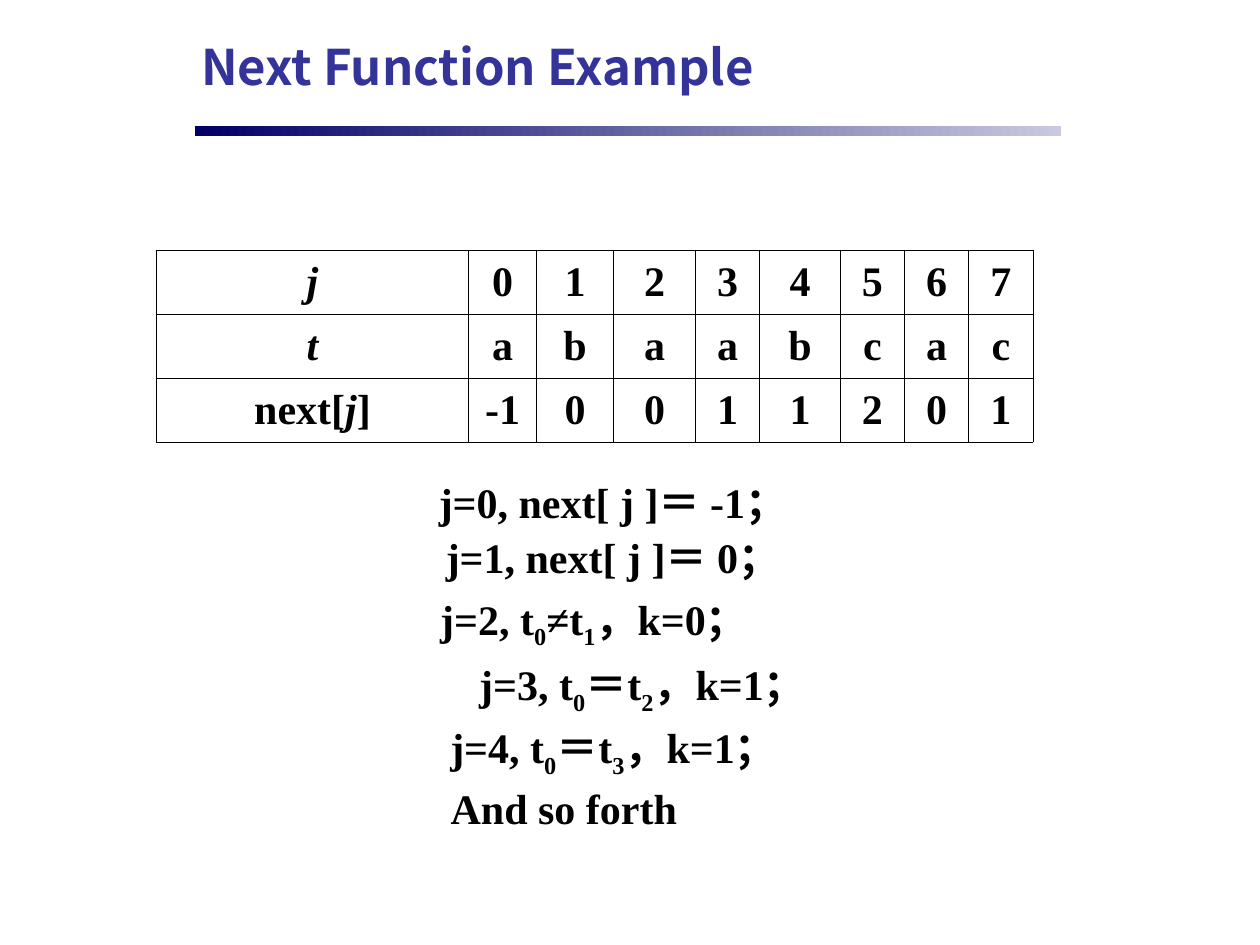
from lxml.etree import SubElement
from pptx import Presentation
from pptx.dml.color import RGBColor
from pptx.enum.shapes import MSO_SHAPE
from pptx.enum.text import MSO_ANCHOR, PP_ALIGN
from pptx.oxml.ns import qn
from pptx.util import Inches, Pt

COLORS = {
    "title": "333399",
    "text": "000000",
    "rule_start": "000066",
    "rule_end": "C9C9DF",
    "border": "000000",
}
LATIN_FONT = "Times New Roman"
ASIAN_FONT = "Noto Sans CJK SC"
UNIT = Inches(0.1)
SLIDE_COLUMNS, SLIDE_ROWS = 100, 75

TABLE_ROWS = [
    ["_j_", *"01234567"],
    ["_t_", *"abaabcac"],
    ["next[_j_]", "-1", *"0011201"],
]
TABLE_COLUMNS = [24.8, 5.4, 6.1, 6.5, 5.1, 6.4, 5.1, 5.1, 5.1]
TABLE_ROW_HEIGHT = 5.06

STEPS = [
    (["j=0, next[ j ]＝ -1；", "j=1, next[ j ]＝ 0；"], (15, 36.9, 67.3, 9.8), 1.1),
    (["j=2, t_0_≠t_1_，k=0；"], (14.8, 46.6, 64.7, 5.6), 1),
    (["j=3, t_0_＝t_2_，k=1；"], (15, 51.8, 72, 5.6), 1),
    (["j=4, t_0_＝t_3_，k=1；"], (15.1, 56.8, 67.2, 5.6), 1),
    (["And so forth"], (14.6, 61.6, 60.3, 5), 1),
]


def grid(*units):
    """Convert grid columns and rows to slide lengths."""
    return [round(unit * UNIT) for unit in units]


def color(name):
    """Return a named palette colour."""
    return RGBColor.from_string(COLORS[name])


def write_text(frame, lines, *, size=24, font=LATIN_FONT, fill="text",
               align=PP_ALIGN.CENTER, spacing=1, emphasis="subscript"):
    """Write bold lines, giving the parts between underscores the emphasis."""
    for index, line in enumerate(lines):
        paragraph = frame.add_paragraph() if index else frame.paragraphs[0]
        paragraph.alignment = align
        paragraph.line_spacing = spacing
        for position, part in enumerate(line.split("_")):
            if not part:
                continue
            run = paragraph.add_run()
            run.text = part
            run.font.size = Pt(size)
            run.font.name = font
            run.font.bold = True
            run.font.color.rgb = color(fill)
            properties = run._r.get_or_add_rPr()
            SubElement(properties, qn("a:ea"), typeface=ASIAN_FONT)
            if position % 2 and emphasis == "italic":
                run.font.italic = True
            elif position % 2:
                properties.set("baseline", "-25000")


def add_text(slide, lines, box, *, anchor=MSO_ANCHOR.TOP, inset=0.5, **style):
    """Add a wrapping text box on the grid."""
    frame = slide.shapes.add_textbox(*grid(*box)).text_frame
    frame.word_wrap = True
    frame.vertical_anchor = anchor
    frame.margin_top = frame.margin_bottom = grid(inset)[0]
    write_text(frame, lines, **style)


def add_rule(slide, box):
    """Add the gradient bar below the title."""
    shape = slide.shapes.add_shape(MSO_SHAPE.RECTANGLE, *grid(*box))
    shape.shadow.inherit = False
    shape.line.fill.background()
    shape.fill.gradient()
    shape.fill.gradient_angle = 0
    for stop, name in zip(shape.fill.gradient_stops, ("rule_start", "rule_end")):
        stop.color.rgb = color(name)


def add_borders(cell, width):
    """Draw all four borders of a table cell."""
    properties = cell._tc.get_or_add_tcPr()
    for index, side in enumerate(("lnL", "lnR", "lnT", "lnB")):
        line = properties.makeelement(qn(f"a:{side}"), {"w": str(Pt(width))})
        solid = SubElement(line, qn("a:solidFill"))
        SubElement(solid, qn("a:srgbClr"), val=COLORS["border"])
        properties.insert(index, line)


def add_next_table(slide, left, top):
    """Add the table of the pattern and its next values."""
    box = grid(left, top, sum(TABLE_COLUMNS), TABLE_ROW_HEIGHT * len(TABLE_ROWS))
    table = slide.shapes.add_table(len(TABLE_ROWS), len(TABLE_COLUMNS), *box).table
    table.first_row = table.horz_banding = False
    for column, width in zip(table.columns, grid(*TABLE_COLUMNS)):
        column.width = width
    for row, values in zip(table.rows, TABLE_ROWS):
        row.height = grid(TABLE_ROW_HEIGHT)[0]
        for cell, value in zip(row.cells, values):
            cell.fill.background()
            cell.vertical_anchor = MSO_ANCHOR.MIDDLE
            write_text(cell.text_frame, [value], emphasis="italic")
            add_borders(cell, 0.45)


def main():
    """Build and save the slide."""
    presentation = Presentation()
    presentation.slide_width, presentation.slide_height = grid(SLIDE_COLUMNS, SLIDE_ROWS)
    slide = presentation.slides.add_slide(presentation.slide_layouts[6])
    add_rule(slide, (15.5, 10, 68.7, 0.8))
    add_text(slide, ["Next Function Example"], (15, 0.5, 70, 10.2),
             anchor=MSO_ANCHOR.MIDDLE, inset=0, size=28, font=ASIAN_FONT,
             fill="title", align=PP_ALIGN.LEFT, spacing=0.85)
    for lines, box, spacing in STEPS:
        add_text(slide, lines, box, spacing=spacing)
    add_next_table(slide, 12.4, 19.9)
    presentation.save("out.pptx")


if __name__ == "__main__":
    main()
